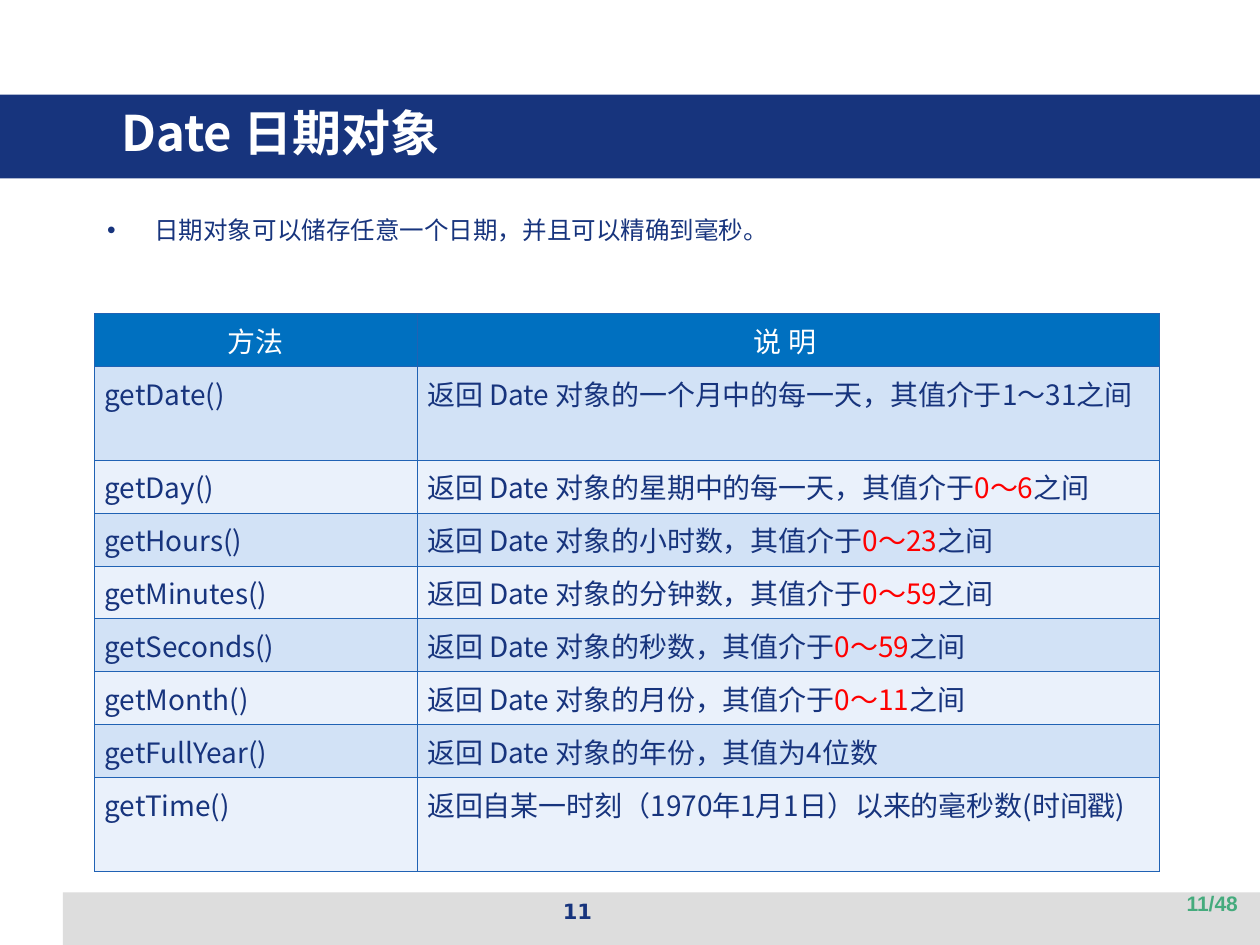
from dataclasses import dataclass
from typing import NamedTuple

from lxml.etree import SubElement
from pptx import Presentation
from pptx.dml.color import RGBColor
from pptx.enum.shapes import MSO_SHAPE as Preset
from pptx.enum.text import MSO_ANCHOR as Anchor, MSO_AUTO_SIZE as AutoSize, PP_ALIGN as Align
from pptx.oxml.ns import qn
from pptx.util import Pt


@dataclass(frozen=True)
class Theme:
    navy: str = "17347D"
    white: str = "FFFFFF"
    gray: str = "DDDDDD"
    green: str = "45AB7D"
    red: str = "FF0000"
    header: str = "0070C0"
    border: str = "2062B4"
    stripes: tuple[str, str] = ("D2E2F6", "EAF1FB")
    font: str = "Noto Sans CJK SC"
    title_size: float = 28
    table_size: float = 16
    body_size: float = 14
    footer_size: float = 12


class Box(NamedTuple):
    left: float
    top: float
    width: float
    height: float

    def lengths(self) -> list[Pt]:
        return [Pt(value) for value in self]


class Style(NamedTuple):
    size: float
    color: str
    font: str
    bold: bool = False
    align: Align = Align.LEFT


class Band(NamedTuple):
    box: Box
    color: str


class Label(NamedTuple):
    text: str
    box: Box
    style: Style


class Method(NamedTuple):
    name: str
    description: str
    value_range: str = ""
    ending: str = ""
    height: float = 30.3


THEME = Theme()
TITLE = Label("Date 日期对象", Box(62, 55, 648, 65),
              Style(THEME.title_size, THEME.white, THEME.font, True))
BODY = Label("日期对象可以储存任意一个日期，并且可以精确到毫秒。", Box(54, 119.5, 590, 25),
             Style(THEME.body_size, THEME.navy, THEME.font))
BANDS = [
    Band(Box(36, 510, 684, 30), THEME.gray),
    Band(Box(0, 54, 720, 48), THEME.navy),
]
FOOTERS = [
    Label("11", Box(246, 510, 168, 25),
          Style(THEME.footer_size, THEME.navy, "DejaVu Sans", True, Align.CENTER)),
    Label("11/48", Box(546.5, 505.5, 168, 29),
          Style(THEME.footer_size, THEME.green, "Arial", True, Align.RIGHT)),
]
HEADER = Method("方法", "说 明 ")
METHODS = [
    Method("getDate()", "返回 Date 对象的一个月中的每一天，其值介于1～31之间", height=53),
    Method("getDay()", "返回 Date 对象的星期中的每一天，其值介于", "0～6", "之间"),
    Method("getHours()", "返回 Date 对象的小时数，其值介于", "0～23", "之间"),
    Method("getMinutes()", "返回 Date 对象的分钟数，其值介于", "0～59", "之间"),
    Method("getSeconds()", "返回 Date 对象的秒数，其值介于", "0～59", "之间"),
    Method("getMonth()", "返回 Date 对象的月份，其值介于", "0～11", "之间"),
    Method("getFullYear()", "返回 Date 对象的年份，其值为4位数"),
    Method("getTime()", "返回自某一时刻（1970年1月1日）以来的毫秒数(时间戳)", height=53),
]
COLUMN_WIDTHS = (184.3, 424.2)


def format_paragraph(paragraph, style: Style) -> None:
    paragraph.alignment = style.align
    paragraph.space_before = Pt(0)
    font = paragraph.font
    font.size = Pt(style.size)
    font.bold = style.bold
    font.name = style.font
    font.color.rgb = RGBColor.from_string(style.color)
    properties = paragraph._p.pPr.find(qn("a:defRPr"))
    SubElement(properties, qn("a:ea"), typeface=style.font)


def fill_text(shape, label: Label) -> None:
    shape.left, shape.top, shape.width, shape.height = label.box.lengths()
    frame = shape.text_frame
    frame.word_wrap = True
    frame.auto_size = AutoSize.NONE
    frame.vertical_anchor = Anchor.TOP
    frame.text = label.text
    format_paragraph(frame.paragraphs[0], label.style)


def fill_body(shape, label: Label) -> None:
    properties = shape.text_frame.paragraphs[0]._p.get_or_add_pPr()
    properties.set("marL", str(Pt(27)))
    properties.set("indent", str(-Pt(27)))
    SubElement(properties, qn("a:buNone"))
    fill_text(shape, label)


def add_band(slide, band: Band, position: int) -> None:
    shape = slide.shapes.add_shape(Preset.RECTANGLE, *band.box.lengths())
    shape.shadow.inherit = False
    shape.fill.solid()
    shape.fill.fore_color.rgb = RGBColor.from_string(band.color)
    shape.line.fill.background()
    slide.shapes._spTree.insert(position, shape._element)


def format_cell(cell, fill: str, style: Style, margin: float) -> None:
    cell.margin_left = cell.margin_right = Pt(margin)
    cell.margin_top = cell.margin_bottom = Pt(3.6)
    properties = cell._tc.get_or_add_tcPr()
    for side in ("lnL", "lnR", "lnT", "lnB"):
        line = SubElement(properties, qn(f"a:{side}"), w=str(Pt(0.45)))
        color = SubElement(line, qn("a:solidFill"))
        SubElement(color, qn("a:srgbClr"), val=THEME.border)
    cell.fill.solid()
    cell.fill.fore_color.rgb = RGBColor.from_string(fill)
    format_paragraph(cell.text_frame.paragraphs[0], style)


def fill_row(table, index: int, method: Method, fill: str, style: Style, margin: float) -> None:
    table.rows[index].height = Pt(method.height)
    name_cell, description_cell = table.rows[index].cells
    name_cell.text = method.name
    paragraph = description_cell.text_frame.paragraphs[0]
    paragraph.add_run().text = method.description
    if method.value_range:
        value_run = paragraph.add_run()
        value_run.text = method.value_range
        value_run.font.color.rgb = RGBColor.from_string(THEME.red)
        paragraph.add_run().text = method.ending
    for cell in (name_cell, description_cell):
        format_cell(cell, fill, style, margin)


def add_method_table(slide) -> None:
    height = HEADER.height + sum(method.height for method in METHODS)
    box = Box(54, 179.2, sum(COLUMN_WIDTHS), height)
    table = slide.shapes.add_table(len(METHODS) + 1, 2, *box.lengths()).table
    table.horz_banding = False
    table.first_row = False
    for column, width in zip(table.columns, COLUMN_WIDTHS):
        column.width = Pt(width)
    header_style = Style(THEME.table_size, THEME.white, THEME.font, align=Align.CENTER)
    cell_style = Style(THEME.table_size, THEME.navy, THEME.font, align=Align.JUSTIFY)
    fill_row(table, 0, HEADER, THEME.header, header_style, 7.2)
    for index, method in enumerate(METHODS):
        fill_row(table, index + 1, method, THEME.stripes[index % 2], cell_style, 5.8)


def main() -> None:
    presentation = Presentation()
    presentation.slide_width, presentation.slide_height = Pt(720), Pt(540)
    slide = presentation.slides.add_slide(presentation.slide_layouts[1])
    for position, band in enumerate(BANDS, start=2):
        add_band(slide, band, position)
    fill_text(slide.shapes.title, TITLE)
    fill_body(slide.placeholders[1], BODY)
    for label in FOOTERS:
        fill_text(slide.shapes.add_textbox(*label.box.lengths()), label)
    add_method_table(slide)
    presentation.save("out.pptx")


if __name__ == "__main__":
    main()
